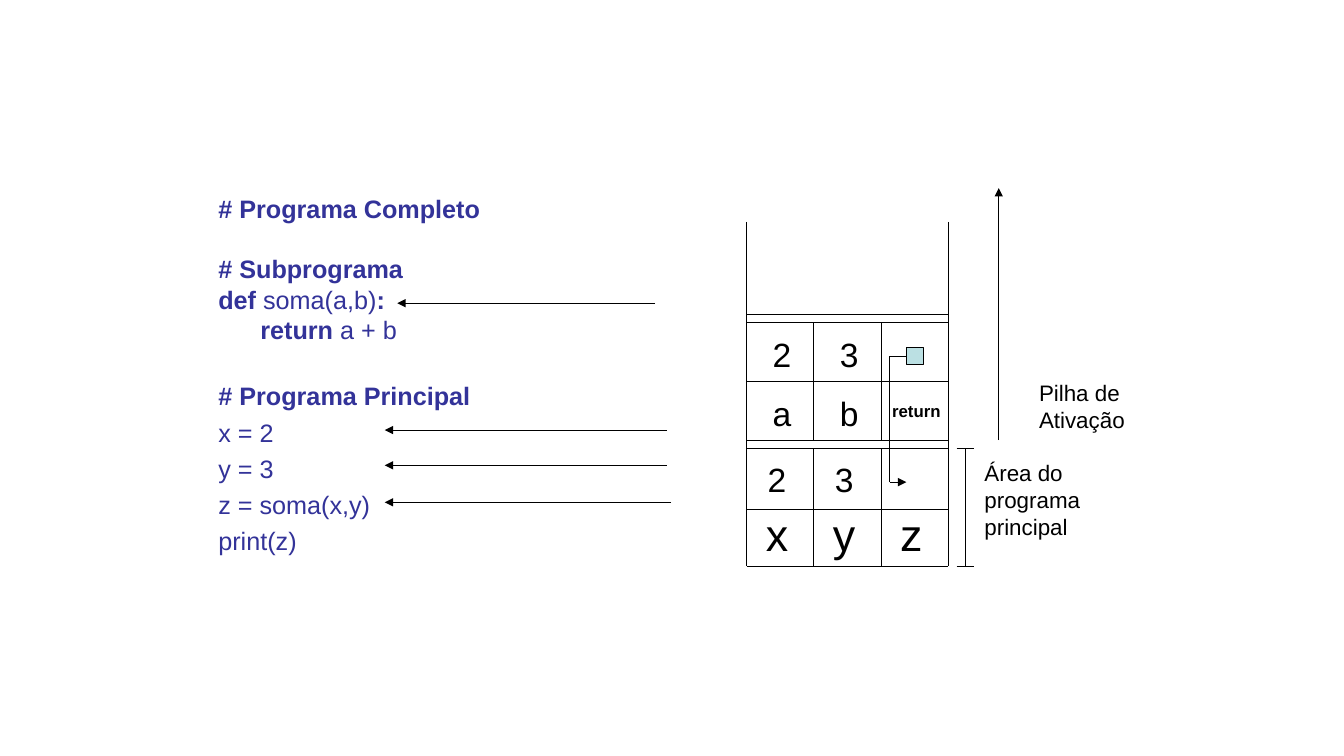
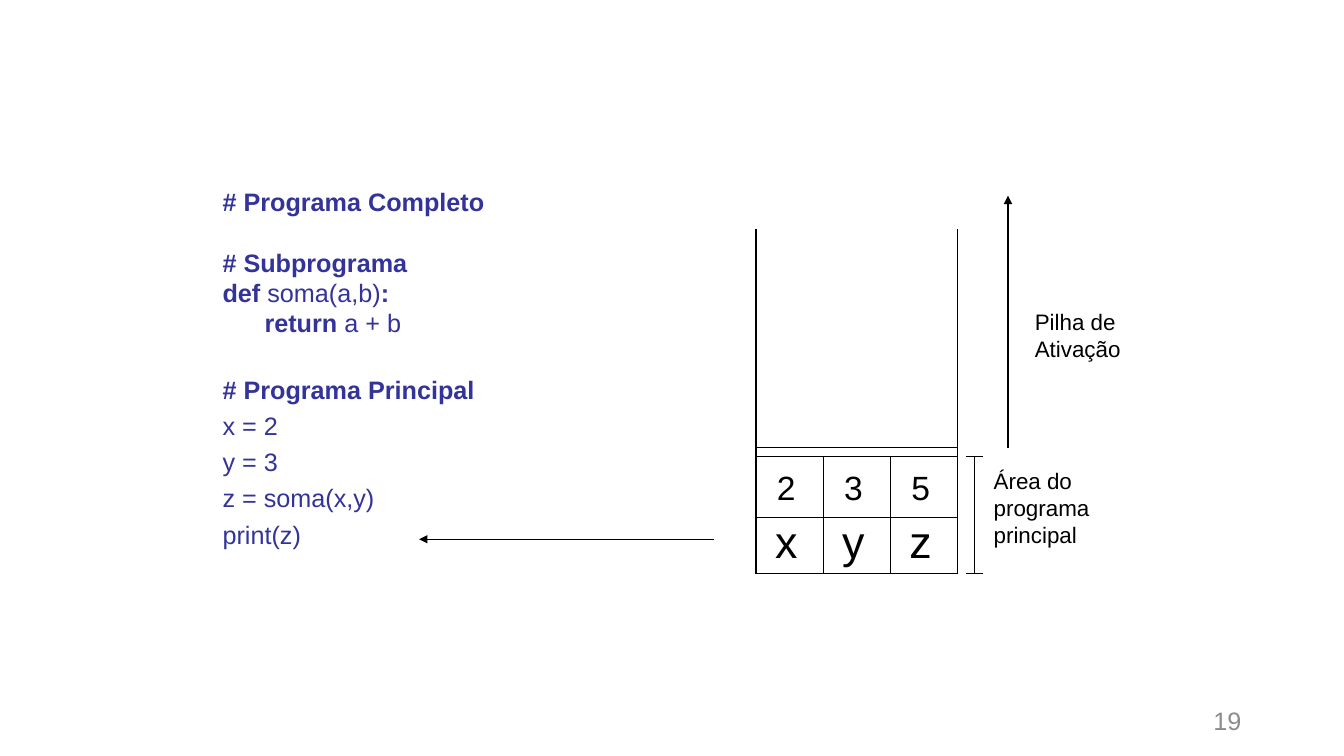
import dataclasses
import typing

import lxml.etree
import pptx
import pptx.dml.color
import pptx.enum.shapes
import pptx.enum.text
import pptx.oxml.ns
import pptx.util

RGBColor = pptx.dml.color.RGBColor
PP_ALIGN = pptx.enum.text.PP_ALIGN
MSO_ANCHOR = pptx.enum.text.MSO_ANCHOR

BLACK = RGBColor(0x00, 0x00, 0x00)
CODE_BLUE = RGBColor(0x33, 0x33, 0x99)
POINTER_FILL = RGBColor(0xBB, 0xE0, 0xE3)
PAGE_GRAY = RGBColor(0x8C, 0x8C, 0x8C)
FONT = "Arial"

# The slide is a grid of 160 columns by 90 rows, twelve to the inch.
COLUMNS, ROWS = 160, 90
CELL_WIDTH = 8
STACK_WIDTH = 3 * CELL_WIDTH
FRAME_HEIGHT = 14
FRAME_STEP = FRAME_HEIGHT + 1
WALL_HEIGHT = 41


class Run(typing.NamedTuple):
    text: str
    bold: bool = False


@dataclasses.dataclass(frozen=True)
class Line:
    runs: tuple[Run, ...]
    before: float = 0
    spacing: float = 1.0
    indent: float = 0


@dataclasses.dataclass(frozen=True)
class Style:
    size: float
    color: RGBColor = BLACK
    align: PP_ALIGN = PP_ALIGN.LEFT
    anchor: MSO_ANCHOR = MSO_ANCHOR.TOP
    side_inset: float = 1.2


class Box(typing.NamedTuple):
    left: float
    top: float
    width: float
    height: float


class Cell(typing.NamedTuple):
    text: str
    column: int
    rise: float
    size: float
    bold: bool = False


@dataclasses.dataclass(frozen=True)
class Frame:
    """One activation record: its cells, and the shift of their centres."""
    cells: tuple[Cell, ...]
    middle: float
    nudge: float


class StepArrow(typing.NamedTuple):
    start: float
    end: float
    row: float


@dataclasses.dataclass(frozen=True)
class Scene:
    code: Box
    stack_left: float
    stack_base: float
    frames: tuple[Frame, ...]
    steps: tuple[StepArrow, ...]
    growth_label: tuple[float, float]
    pending_return: bool = False
    page: str = ""


LABEL = Style(16)
CODE = Style(18, CODE_BLUE)
PAGE_NUMBER = Style(18, PAGE_GRAY, PP_ALIGN.RIGHT, MSO_ANCHOR.MIDDLE)
BLANK_ROW = 21.6

PROGRAM = (
    Line((Run("# Programa Completo", True),)),
    Line((Run("# Subprograma", True),), before=BLANK_ROW),
    Line((Run("def", True), Run(" soma(a,b)"), Run(":", True))),
    Line((Run("return", True), Run(" a + b")), indent=5),
    Line((Run("# Programa Principal", True),), before=BLANK_ROW, spacing=1.2),
    *(Line((Run(statement),), spacing=1.2)
      for statement in ("x = 2", "y = 3", "z = soma(x,y)", "print(z)")),
)


def main_frame(*values: str) -> Frame:
    stored = tuple(Cell(v, i, 13.3, 24) for i, v in enumerate(values))
    names = tuple(Cell(n, i, 7.7, 32) for i, n in enumerate("xyz"))
    return Frame(stored + names, 6.7, -0.4)


SUM_FRAME = Frame(
    (Cell("2", 0, 13.2, 24), Cell("3", 1, 13.2, 24),
     Cell("a", 0, 6.2, 24), Cell("b", 1, 6.2, 24),
     Cell("return", 2, 5.3, 12, True)),
    7, 0.2)

SCENES = (
    Scene(Box(24.8, 22.4, 57.6, 44.8), 88.9, 67.4,
          (main_frame("2", "3"), SUM_FRAME),
          (StepArrow(79.4, 45.8, 51.2), StepArrow(79.4, 45.8, 55.4),
           StepArrow(79.9, 45.8, 59.8), StepArrow(78, 47.3, 36.1)),
          (122.5, 44.6), pending_return=True),
    Scene(Box(25.3, 21.6, 61.9, 44.8), 90, 68.3,
          (main_frame("2", "3", "5"),),
          (StepArrow(85, 49.9, 64.2),),
          (122, 36.1), page="19"),
)


def grid(units: float) -> int:
    return pptx.util.Inches(units / 12)


def add_line(slide, x1: float, y1: float, x2: float, y2: float,
             arrow: bool = False) -> None:
    qn = pptx.oxml.ns.qn
    connector = slide.shapes.add_connector(
        pptx.enum.shapes.MSO_CONNECTOR.STRAIGHT,
        grid(x1), grid(y1), grid(x2), grid(y2))
    connector.line.color.rgb = BLACK
    connector.line.width = pptx.util.Pt(0.75)
    properties = connector.element.find(qn("p:spPr"))
    if arrow:
        stroke = properties.find(qn("a:ln"))
        lxml.etree.SubElement(stroke, qn("a:tailEnd"), type="triangle")
    lxml.etree.SubElement(properties, qn("a:effectLst"))


def add_text(slide, box: Box, lines: typing.Iterable[Line], style: Style) -> None:
    frame = slide.shapes.add_textbox(*map(grid, box)).text_frame
    frame.word_wrap = True
    frame.vertical_anchor = style.anchor
    frame.margin_left = frame.margin_right = grid(style.side_inset)
    for number, line in enumerate(lines):
        paragraph = frame.add_paragraph() if number else frame.paragraphs[0]
        paragraph.alignment = style.align
        paragraph.line_spacing = line.spacing
        paragraph.space_before = pptx.util.Pt(line.before)
        if line.indent:
            paragraph._p.get_or_add_pPr().set("marL", str(grid(line.indent)))
        for text, bold in line.runs:
            run = paragraph.add_run()
            run.text = text
            run.font.name = FONT
            run.font.size = pptx.util.Pt(style.size)
            run.font.bold = bold
            run.font.color.rgb = style.color


def plain_lines(*texts: str) -> list[Line]:
    return [Line((Run(text),)) for text in texts]


def add_frame(slide, frame: Frame, left: float, base: float) -> None:
    right = left + STACK_WIDTH
    for rise in (frame.middle, FRAME_HEIGHT, FRAME_STEP):
        add_line(slide, left, base - rise, right, base - rise)
    for column in (1, 2):
        x = left + column * CELL_WIDTH
        add_line(slide, x, base - FRAME_HEIGHT, x, base)
    for cell in frame.cells:
        box = Box(left + cell.column * CELL_WIDTH + frame.nudge,
                  base - cell.rise, CELL_WIDTH, cell.size / 5 + 1.2)
        style = Style(cell.size, align=PP_ALIGN.CENTER, side_inset=0)
        add_text(slide, box, [Line((Run(cell.text, cell.bold),))], style)


def add_stack(slide, scene: Scene) -> None:
    left, base = scene.stack_left, scene.stack_base
    right = left + STACK_WIDTH
    for wall in (left, right):
        add_line(slide, wall, base - WALL_HEIGHT, wall, base)
    add_line(slide, left, base, right, base)
    for level, frame in enumerate(scene.frames):
        add_frame(slide, frame, left, base - level * FRAME_STEP)

    bracket = right + 2
    add_line(slide, bracket, base - FRAME_HEIGHT, bracket, base)
    for end in (base - FRAME_HEIGHT, base):
        add_line(slide, bracket - 1, end, bracket + 1, end)
    add_text(slide, Box(right + 3.1, base - 13.3, 14.5, 10.8),
             plain_lines("Área do", "programa", "principal"), LABEL)

    growth = right + 6
    add_line(slide, growth, base - FRAME_STEP, growth, base - 3 * FRAME_STEP,
             arrow=True)
    add_text(slide, Box(*scene.growth_label, 14.5, 7.7),
             plain_lines("Pilha de", "Ativação"), LABEL)


def add_return_link(slide, left: float, base: float) -> None:
    """Pointer from the return cell of the call down to the cell of z."""
    pointer = slide.shapes.add_shape(
        pptx.enum.shapes.MSO_SHAPE.RECTANGLE,
        *map(grid, Box(left + 19, base - 26, 2, 2)))
    pointer.shadow.inherit = False
    pointer.fill.solid()
    pointer.fill.fore_color.rgb = POINTER_FILL
    pointer.line.color.rgb = BLACK
    pointer.line.width = pptx.util.Pt(0.75)
    outer, inner = left + 19, left + 17
    upper, lower = base - 25, base - 10
    add_line(slide, outer, upper, inner, upper)
    add_line(slide, inner, upper, inner, lower)
    add_line(slide, inner, lower, outer, lower, arrow=True)


def add_scene(deck, scene: Scene) -> None:
    slide = deck.slides.add_slide(deck.slide_layouts[6])
    add_text(slide, scene.code, PROGRAM, CODE)
    for step in scene.steps:
        add_line(slide, step.start, step.row, step.end, step.row, arrow=True)
    add_stack(slide, scene)
    if scene.pending_return:
        add_return_link(slide, scene.stack_left, scene.stack_base)
    if scene.page:
        add_text(slide, Box(113, 83.4, 36, 4.8), plain_lines(scene.page),
                 PAGE_NUMBER)


def main() -> None:
    deck = pptx.Presentation()
    deck.slide_width, deck.slide_height = grid(COLUMNS), grid(ROWS)
    for scene in SCENES:
        add_scene(deck, scene)
    deck.save("out.pptx")


if __name__ == "__main__":
    main()
